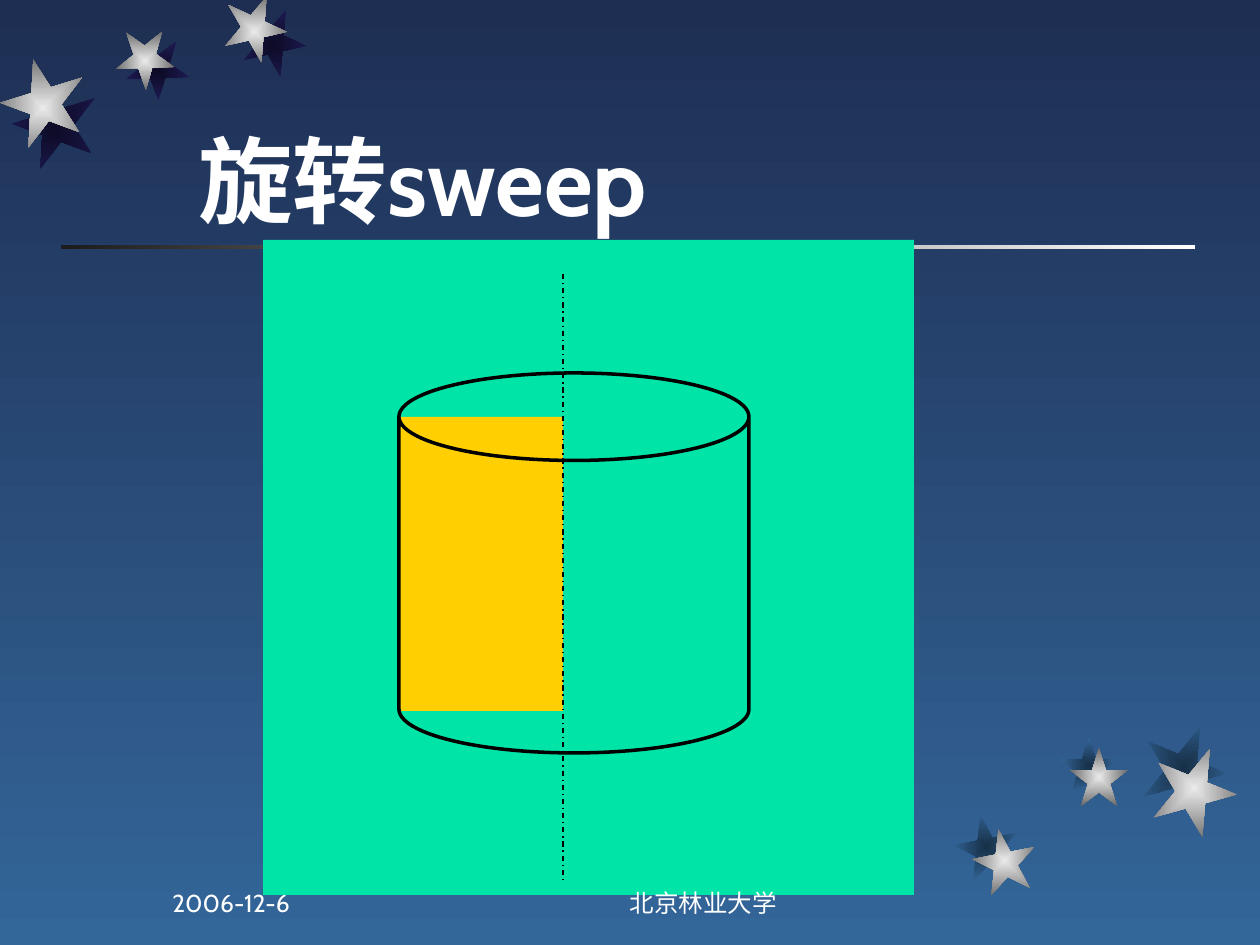
from lxml.etree import SubElement
from pptx import Presentation
from pptx.dml.color import RGBColor
from pptx.enum.dml import MSO_LINE
from pptx.enum.shapes import MSO_CONNECTOR, MSO_SHAPE
from pptx.enum.text import MSO_ANCHOR, PP_ALIGN
from pptx.oxml.ns import qn
from pptx.util import Pt

EMU_PER_PX = 914400 / 126
FONT = "Cabin"

WHITE = RGBColor(0xFF, 0xFF, 0xFF)
BLACK = RGBColor(0x00, 0x00, 0x00)
CHARCOAL = RGBColor(0x1C, 0x1C, 0x1C)
NIGHT = RGBColor(0x1E, 0x2E, 0x53)
SKY = RGBColor(0x33, 0x66, 0x99)
GREEN = RGBColor(0x00, 0xE4, 0xA8)
YELLOW = RGBColor(0xFF, 0xCF, 0x01)

# Star gradients, from centre to edge
SILVER = (RGBColor(0xEA, 0xEA, 0xEA), RGBColor(0x6B, 0x6B, 0x6B))
TOP_SHADE = (RGBColor(0x0D, 0x0B, 0x26), RGBColor(0x1E, 0x1A, 0x53))
BOTTOM_SHADE = (RGBColor(0x17, 0x2F, 0x46), SKY)

# Star clusters: shade colours, then (left, top, width, height, rotation)
TOP_SHADOWS = [(242, 14, 63, 63, 167.3), (126, 42, 63, 58, 178.3), (13, 87, 84, 84, 200.3)]
TOP_STARS = [(223, 0, 63, 63, 167.3), (116, 32, 58, 58, 178.3), (1, 66, 84, 84, 200.3)]
BOTTOM_SHADOWS = [(955, 815, 63, 63, 349), (1060, 737, 58, 58, 0), (1142, 725, 84, 84, 22)]
BOTTOM_STARS = [(973, 829, 63, 63, 349), (1070, 748, 58, 58, 0), (1152, 746, 84, 84, 22)]
CLUSTERS = [
    (TOP_SHADE, TOP_SHADOWS), (SILVER, TOP_STARS),
    (BOTTOM_SHADE, BOTTOM_SHADOWS), (SILVER, BOTTOM_STARS),
]


def px(*lengths):
    return [round(length * EMU_PER_PX) for length in lengths]


def set_gradient(fill, colors, angle):
    fill.gradient()
    fill.gradient_angle = angle
    for stop, color in zip(fill.gradient_stops, colors):
        stop.color.rgb = color


def add_figure(slide, preset, box, color=None):
    figure = slide.shapes.add_shape(preset, *px(*box))
    figure.shadow.inherit = False
    figure.line.fill.background()
    if color is None:
        figure.fill.background()
    else:
        figure.fill.solid()
        figure.fill.fore_color.rgb = color
    return figure


def add_star(slide, colors, box, rotation):
    star = add_figure(slide, MSO_SHAPE.STAR_5_POINT, box)
    star.rotation = rotation
    set_gradient(star.fill, colors, 0)
    # Spread the gradient from the centre outwards
    gradient = star._element.spPr.find(qn("a:gradFill"))
    gradient.remove(gradient.find(qn("a:lin")))
    spread = SubElement(gradient, qn("a:path"), {"path": "rect"})
    SubElement(spread, qn("a:fillToRect"), dict.fromkeys("ltrb", "50000"))


def add_axis(slide, x, top, bottom):
    axis = slide.shapes.add_connector(MSO_CONNECTOR.STRAIGHT, *px(x, top, x, bottom))
    axis.line.color.rgb = BLACK
    axis.line.width = Pt(0.75)
    axis.line.dash_style = MSO_LINE.DASH_DOT
    SubElement(axis._element.spPr, qn("a:effectLst"))


def add_label(slide, text, box, size, bold=False, align=PP_ALIGN.LEFT):
    frame = slide.shapes.add_textbox(*px(*box)).text_frame
    frame.word_wrap = True
    frame.vertical_anchor = MSO_ANCHOR.BOTTOM
    paragraph = frame.paragraphs[0]
    paragraph.alignment = align
    run = paragraph.add_run()
    run.text = text
    run.font.color.rgb = WHITE
    for attribute, value in {"name": FONT, "size": Pt(size), "bold": bold}.items():
        setattr(run.font, attribute, value)


def main():
    deck = Presentation()
    deck.slide_width, deck.slide_height = px(1260, 945)
    slide = deck.slides.add_slide(deck.slide_layouts[6])

    # Backdrop: night sky, rule and stars
    set_gradient(slide.background.fill, (NIGHT, SKY), 270)
    rule = add_figure(slide, MSO_SHAPE.RECTANGLE, (61, 245, 1134, 4))
    set_gradient(rule.fill, (WHITE, CHARCOAL), 180)
    for colors, stars in CLUSTERS:
        for *box, rotation in stars:
            add_star(slide, colors, box, rotation)

    # Rectangle swept around the axis into a cylinder
    add_figure(slide, MSO_SHAPE.RECTANGLE, (263, 240, 651, 655), GREEN)
    add_figure(slide, MSO_SHAPE.RECTANGLE, (399, 417, 164, 294), YELLOW)
    add_label(slide, "旋转sweep", (186, 73, 1016, 169), 54, bold=True)
    cylinder = add_figure(slide, MSO_SHAPE.CAN, (399, 373, 350, 380))
    cylinder.line.color.rgb = BLACK
    cylinder.line.width = Pt(2)
    add_axis(slide, 563, 274, 880)

    # Footer
    add_label(slide, "北京林业大学", (504, 861, 399, 63), 14, align=PP_ALIGN.CENTER)
    add_label(slide, "2006-12-6", (160, 861, 262, 63), 14)

    deck.save("out.pptx")


if __name__ == "__main__":
    main()
